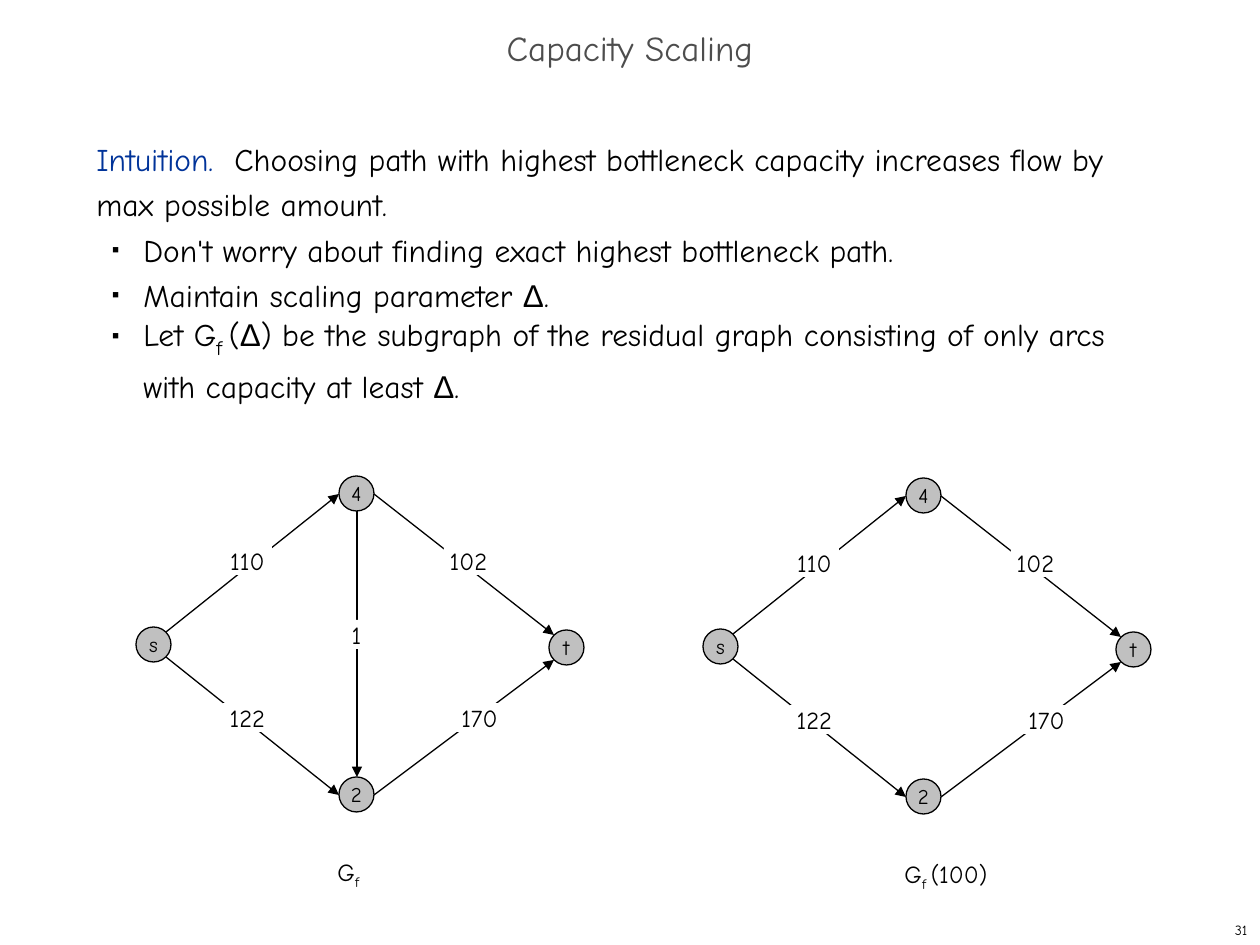
import pptx
import pptx.dml.color
import pptx.enum.shapes
import pptx.enum.text
import pptx.oxml.ns
import pptx.util
from lxml import etree

PX = 914400 / 126
FONT = "Comic Neue"
BLACK, BLUE, GREY, SILVER, WHITE = "000000", "003399", "4D4D4D", "C0C0C0", "FFFFFF"
LEFT, CENTER, RIGHT = (pptx.enum.text.PP_ALIGN.LEFT, pptx.enum.text.PP_ALIGN.CENTER,
                       pptx.enum.text.PP_ALIGN.RIGHT)
TOP, MIDDLE = pptx.enum.text.MSO_ANCHOR.TOP, pptx.enum.text.MSO_ANCHOR.MIDDLE
GROW = pptx.enum.text.MSO_AUTO_SIZE.SHAPE_TO_FIT_TEXT
SHAPES = pptx.enum.shapes.MSO_SHAPE

# Nodes: left and top of each circle
NODE = 35
NODES = {"s": (136, 627), "4": (339, 476), "2": (339, 777), "t": (549, 630)}
# Where an edge meets a circle, from its left and top
PORTS = {"top": (18, 0), "bottom": (18, NODE), "left": (0, 18), "right": (NODE, 18),
         "upper left": (5, 5), "upper right": (30, 5),
         "lower left": (5, 30), "lower right": (30, 30)}
# Edges: tail node and port, head node and port, capacity, label left, top, width
EDGES = [
    ("s", "upper right", "4", "left", "110", 223, 546, 49),
    ("s", "lower right", "2", "left", "122", 223, 703, 49),
    ("4", "right", "t", "upper left", "102", 444, 546, 49),
    ("2", "right", "t", "lower left", "170", 455, 703, 49),
    ("4", "bottom", "2", "top", " 1", 333, 620, 39),
]


def px(*lengths):
    return [pptx.util.Emu(round(length * PX)) for length in lengths]


def color(hex_string):
    return pptx.dml.color.RGBColor.from_string(hex_string)


def add_child(parent, tag, **attributes):
    return etree.SubElement(parent, pptx.oxml.ns.qn(tag), attributes)


def add_run(paragraph, text, size, ink=BLACK, font=FONT, subscript=False):
    run = paragraph.add_run()
    run.text = text
    run.font.size = pptx.util.Pt(size)
    run.font.name = font
    run.font.color.rgb = color(ink)
    if subscript:
        run.font._element.set("baseline", "-25000")


def add_text(slide, box, align=LEFT, anchor=TOP):
    """Add a wrapping text box and return its first paragraph and frame."""
    frame = slide.shapes.add_textbox(*px(*box)).text_frame
    frame.word_wrap = True
    frame.vertical_anchor = anchor
    frame.paragraphs[0].alignment = align
    return frame.paragraphs[0], frame


def add_bullet(paragraph):
    properties = paragraph._p.get_or_add_pPr()
    margin, indent = px(47, -31)
    properties.set("marL", str(margin))
    properties.set("indent", str(indent))
    properties.set("lvl", "1")
    add_child(add_child(properties, "a:buClr"), "a:srgbClr", val=BLACK)
    add_child(properties, "a:buSzPct", val="35000")
    add_child(properties, "a:buFont", typeface="Arial")
    add_child(properties, "a:buChar", char="■")


def add_body(slide):
    intuition, frame = add_text(slide, (84, 126, 1081, 746))
    add_run(intuition, "Intuition.  ", 18, BLUE)
    add_run(intuition, "Choosing path with highest bottleneck capacity increases "
                       "flow by max possible amount.", 18)
    points = [
        ["Don't worry about finding exact highest bottleneck path."],
        ["Maintain scaling parameter ", "Δ", "."],
        ["Let G", "f ", "(", "Δ", ") be the subgraph of the residual graph "
         "consisting of only arcs with capacity at least ", "Δ", "."],
    ]
    for point in points:
        paragraph = frame.add_paragraph()
        add_bullet(paragraph)
        for text in point:
            if text == "f ":
                add_run(paragraph, text, 20, subscript=True)
            else:
                add_run(paragraph, text, 18, font="Arial" if text == "Δ" else FONT)
    for paragraph in frame.paragraphs:
        paragraph.line_spacing = pptx.util.Pt(26)


def add_shape(slide, kind, box, fill, text, size):
    shape = slide.shapes.add_shape(kind, *px(*box))
    shape.shadow.inherit = False
    shape.fill.solid()
    shape.fill.fore_color.rgb = color(fill)
    shape.line.fill.background()
    paragraph = shape.text_frame.paragraphs[0]
    paragraph.alignment = CENTER
    add_run(paragraph, text, size)
    return shape


def add_node(slide, name, x, y):
    node = add_shape(slide, SHAPES.OVAL, (x, y, NODE, NODE), SILVER, name, 12)
    node.line.color.rgb = color(BLACK)
    node.line.width = pptx.util.Pt(0.75)
    node.text_frame.word_wrap = False
    node.text_frame.vertical_anchor = MIDDLE


def add_capacity(slide, text, x, y, width):
    frame = add_shape(slide, SHAPES.RECTANGLE, (x, y, width, 29), WHITE, text, 14).text_frame
    frame.margin_left = frame.margin_right = frame.margin_top = frame.margin_bottom = 0
    frame.word_wrap = True
    frame.vertical_anchor = TOP
    frame.auto_size = GROW


def add_arrow(slide, start, end):
    arrow = slide.shapes.add_connector(
        pptx.enum.shapes.MSO_CONNECTOR.STRAIGHT, *px(*start, *end))
    arrow.line.color.rgb = color(BLACK)
    arrow.line.width = pptx.util.Pt(0.75)
    add_child(arrow.line._get_or_add_ln(), "a:tailEnd", type="triangle")
    add_child(arrow._element.spPr, "a:effectLst")


def add_graph(slide, dx, dy, edges, caption_width, subscript, argument=""):
    def port(node, side):
        return (NODES[node][0] + PORTS[side][0] + dx,
                NODES[node][1] + PORTS[side][1] + dy)

    for tail, tail_side, head, head_side, *_ in edges:
        add_arrow(slide, port(tail, tail_side), port(head, head_side))
    for name, (x, y) in NODES.items():
        add_node(slide, name, x + dx, y + dy)
    for *_, capacity, x, y, width in edges:
        add_capacity(slide, capacity, x + dx, y + dy, width)

    caption, frame = add_text(slide, (325 + dx, 851 + dy, caption_width, 47))
    frame.auto_size = GROW
    add_run(caption, "G", 14)
    add_run(caption, subscript, 14, subscript=True)
    if argument:
        add_run(caption, argument, 14)


def main():
    deck = pptx.Presentation()
    deck.slide_width, deck.slide_height = px(1260, 945)
    slide = deck.slides.add_slide(deck.slide_layouts[6])

    # Title and page number
    title, _ = add_text(slide, (0, 21, 1260, 63), CENTER, MIDDLE)
    title.line_spacing = 0.7
    add_run(title, "Capacity Scaling", 20, GREY)
    page, _ = add_text(slide, (998, 914, 262, 31), RIGHT, MIDDLE)
    add_run(page, "31", 8)

    add_body(slide)

    # Residual graph, then its subgraph without the small arc
    add_graph(slide, 0, 0, EDGES, 84, "f")
    large_edges = [edge for edge in EDGES if int(edge[4]) >= 100]
    add_graph(slide, 567, 2, large_edges, 157, "f ", "(100)")

    deck.save("out.pptx")


if __name__ == "__main__":
    main()
